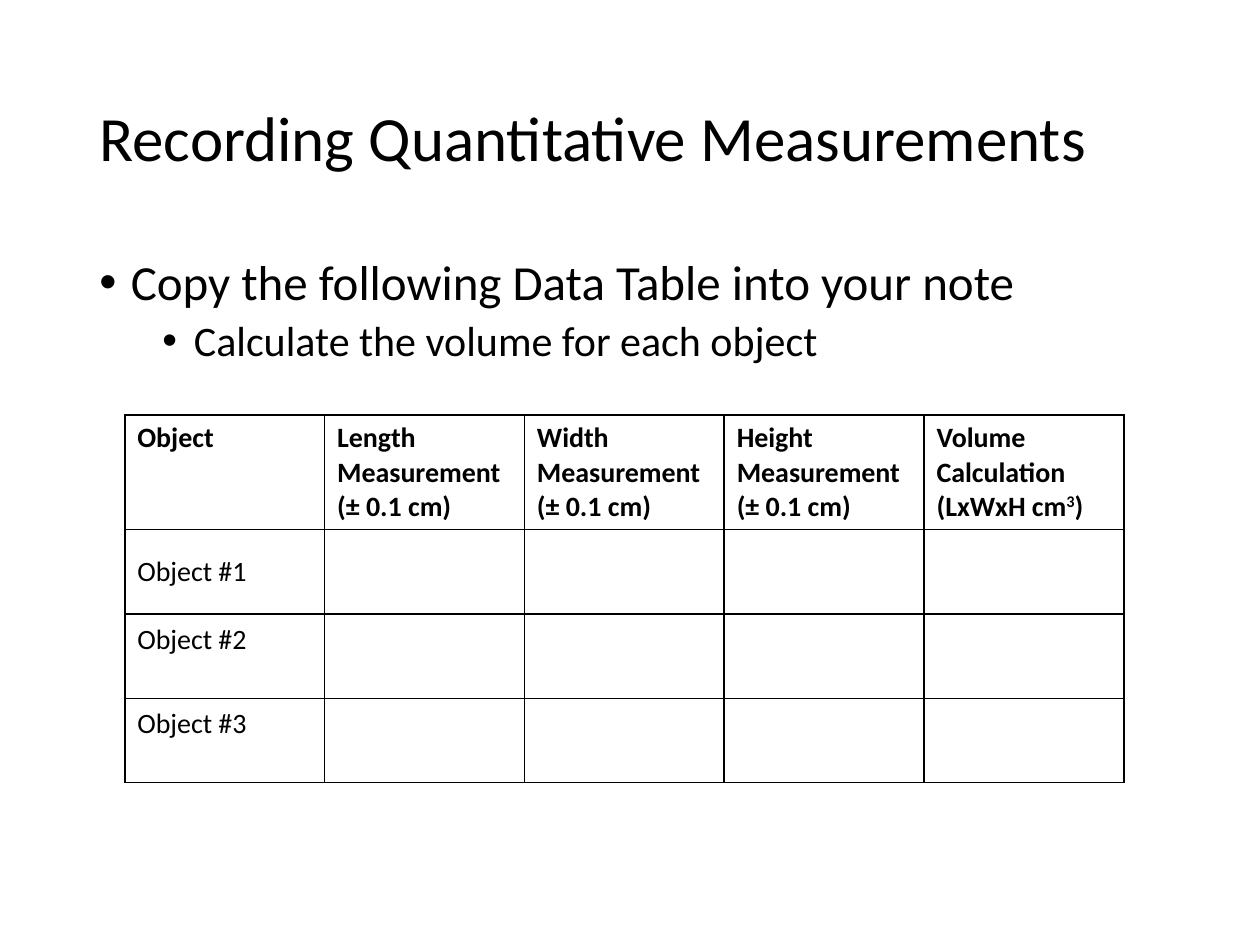
from dataclasses import dataclass

from lxml.etree import SubElement
from pptx import Presentation
from pptx.dml.color import RGBColor
from pptx.enum.text import MSO_ANCHOR, MSO_AUTO_SIZE, PP_ALIGN
from pptx.oxml.ns import qn
from pptx.util import Inches, Pt


@dataclass(frozen=True)
class Theme:
    font: str = "Calibri"
    ink: str = "000000"
    paper: str = "FFFFFF"
    title: int = 36
    bullet: int = 28
    sub_bullet: int = 24
    cell: int = 16
    border: int = 1


THEME = Theme()
SLIDE_WIDTH, SLIDE_HEIGHT = Inches(10), Inches(7.5)
TITLE = "Recording Quantitative Measurements"
BULLETS = [
    # text, size, left indent in inches, space before in points
    ("Copy the following Data Table into your note", THEME.bullet, 0.25, 0),
    ("Calculate the volume for each object", THEME.sub_bullet, 0.75, 5),
]
MEASURED = ["Length", "Width", "Height"]
HEADERS = [
    ["Object"],
    *([f"{side}\vMeasurement", "(± 0.1 cm)"] for side in MEASURED),
    ["Volume\vCalculation", "(LxWxH cm^3^)"],
]
OBJECTS = ["Object #1", "Object #2", "Object #3"]
HEADER_HEIGHT, ROW_HEIGHT = Inches(0.91), Inches(0.67)


def share_box(left, top, width, height):
    """Turn shares of the slide's size into lengths."""
    return (int(SLIDE_WIDTH * left), int(SLIDE_HEIGHT * top),
            int(SLIDE_WIDTH * width), int(SLIDE_HEIGHT * height))


def add_bullet(paragraph, indent):
    properties = paragraph._p.get_or_add_pPr()
    properties.set("marL", str(Inches(indent)))
    properties.set("indent", str(-Inches(0.25)))
    SubElement(properties, qn("a:buFont"), typeface="Arial")
    SubElement(properties, qn("a:buChar"), char="•")


def write(frame, text, size, bold=False, first=True, bullet_indent=None,
          line_spacing=1.0, space_before=0):
    """Write one paragraph; ^ marks surround a superscript, \\v breaks a line."""
    paragraph = frame.paragraphs[0] if first else frame.add_paragraph()
    paragraph.alignment = PP_ALIGN.LEFT
    paragraph.line_spacing = line_spacing
    paragraph.space_before = Pt(space_before)
    if bullet_indent is not None:
        add_bullet(paragraph, bullet_indent)
    for part, piece in enumerate(text.split("^")):
        for line, words in enumerate(piece.split("\v")):
            if line:
                paragraph.add_line_break()
            run = paragraph.add_run()
            run.text = words
            run.font.name = THEME.font
            run.font.size = Pt(size)
            run.font.bold = bold
            run.font.color.rgb = RGBColor.from_string(THEME.ink)
            if part % 2:
                run.font._element.set("baseline", "30000")


def place_title(slide, box):
    title = slide.shapes.title
    title.left, title.top, title.width, title.height = box
    frame = title.text_frame
    frame.auto_size = MSO_AUTO_SIZE.NONE
    frame.vertical_anchor = MSO_ANCHOR.MIDDLE
    write(frame, TITLE, THEME.title, line_spacing=0.9)


def place_bullets(slide, box):
    frame = slide.shapes.add_textbox(*box).text_frame
    frame.word_wrap = True
    for index, (text, size, indent, space_before) in enumerate(BULLETS):
        write(frame, text, size, first=index == 0, bullet_indent=indent,
              line_spacing=0.9, space_before=space_before)


def format_cell(cell):
    properties = cell._tc.get_or_add_tcPr()
    for side in ("lnL", "lnR", "lnT", "lnB"):
        line = SubElement(properties, qn(f"a:{side}"), w=str(Pt(THEME.border)))
        fill = SubElement(line, qn("a:solidFill"))
        SubElement(fill, qn("a:srgbClr"), val=THEME.ink)
    cell.fill.solid()
    cell.fill.fore_color.rgb = RGBColor.from_string(THEME.paper)


def place_data_table(slide, box):
    table = slide.shapes.add_table(len(OBJECTS) + 1, len(HEADERS), *box).table
    table.first_row = table.horz_banding = False
    for column in table.columns:
        column.width = box[2] // len(HEADERS)
    for index, row in enumerate(table.rows):
        row.height = ROW_HEIGHT if index else HEADER_HEIGHT
    for cell in table.iter_cells():
        format_cell(cell)
    for column, lines in enumerate(HEADERS):
        for index, line in enumerate(lines):
            write(table.cell(0, column).text_frame, line, THEME.cell,
                  bold=True, first=index == 0)
    for row, name in enumerate(OBJECTS, start=1):
        cell = table.cell(row, 0)
        if row == 1:
            cell.vertical_anchor = MSO_ANCHOR.MIDDLE
        else:
            cell.margin_top = Inches(0.07)
        write(cell.text_frame, name, THEME.cell)


def main():
    presentation = Presentation()
    presentation.slide_width, presentation.slide_height = SLIDE_WIDTH, SLIDE_HEIGHT
    slide = presentation.slides.add_slide(
        presentation.slide_layouts.get_by_name("Title Only"))
    place_title(slide, share_box(0.069, 0.053, 0.862, 0.193))
    place_bullets(slide, share_box(0.069, 0.267, 0.862, 0.635))
    place_data_table(slide, share_box(0.099, 0.439, 0.793, 0.389))
    presentation.save("out.pptx")


if __name__ == "__main__":
    main()
